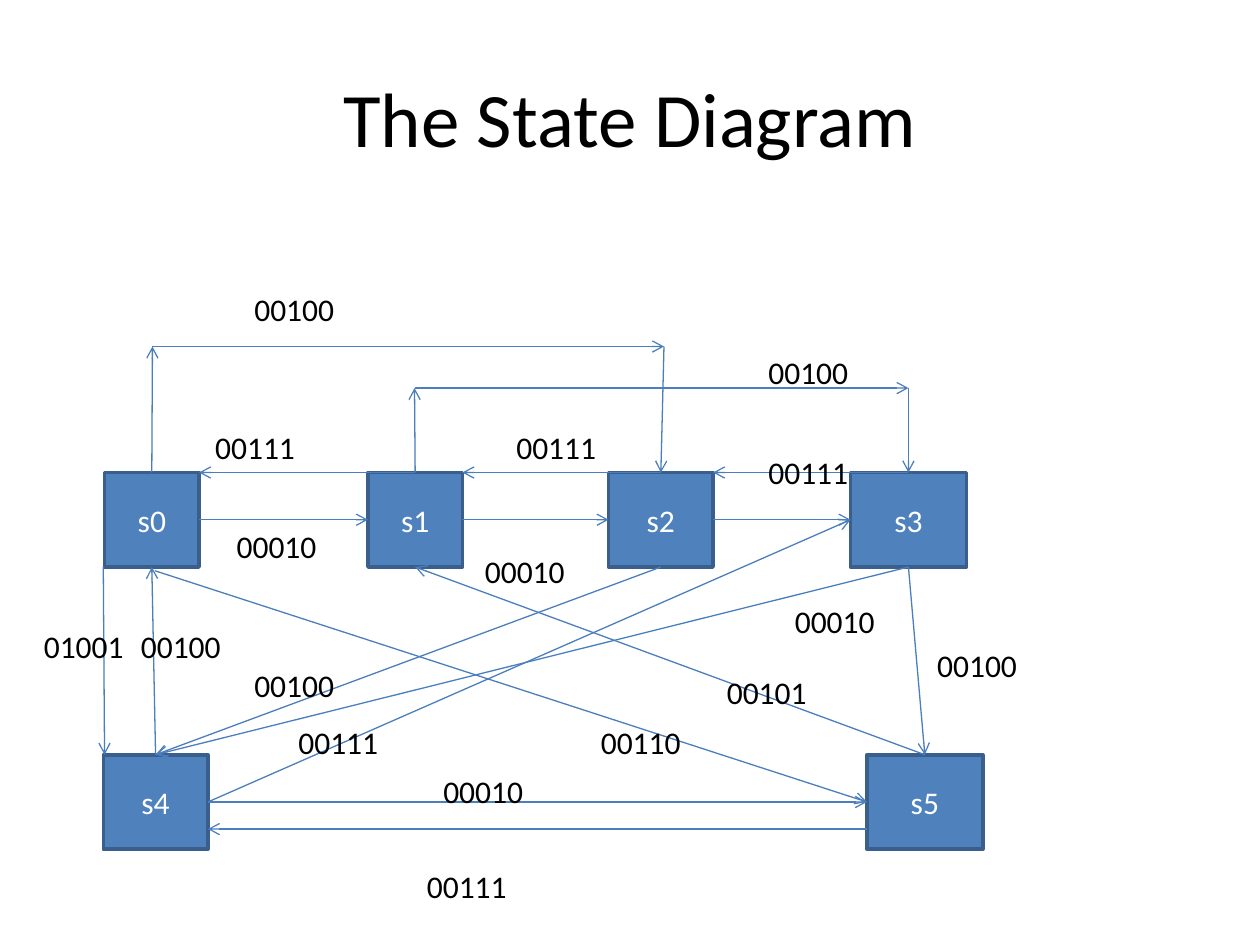
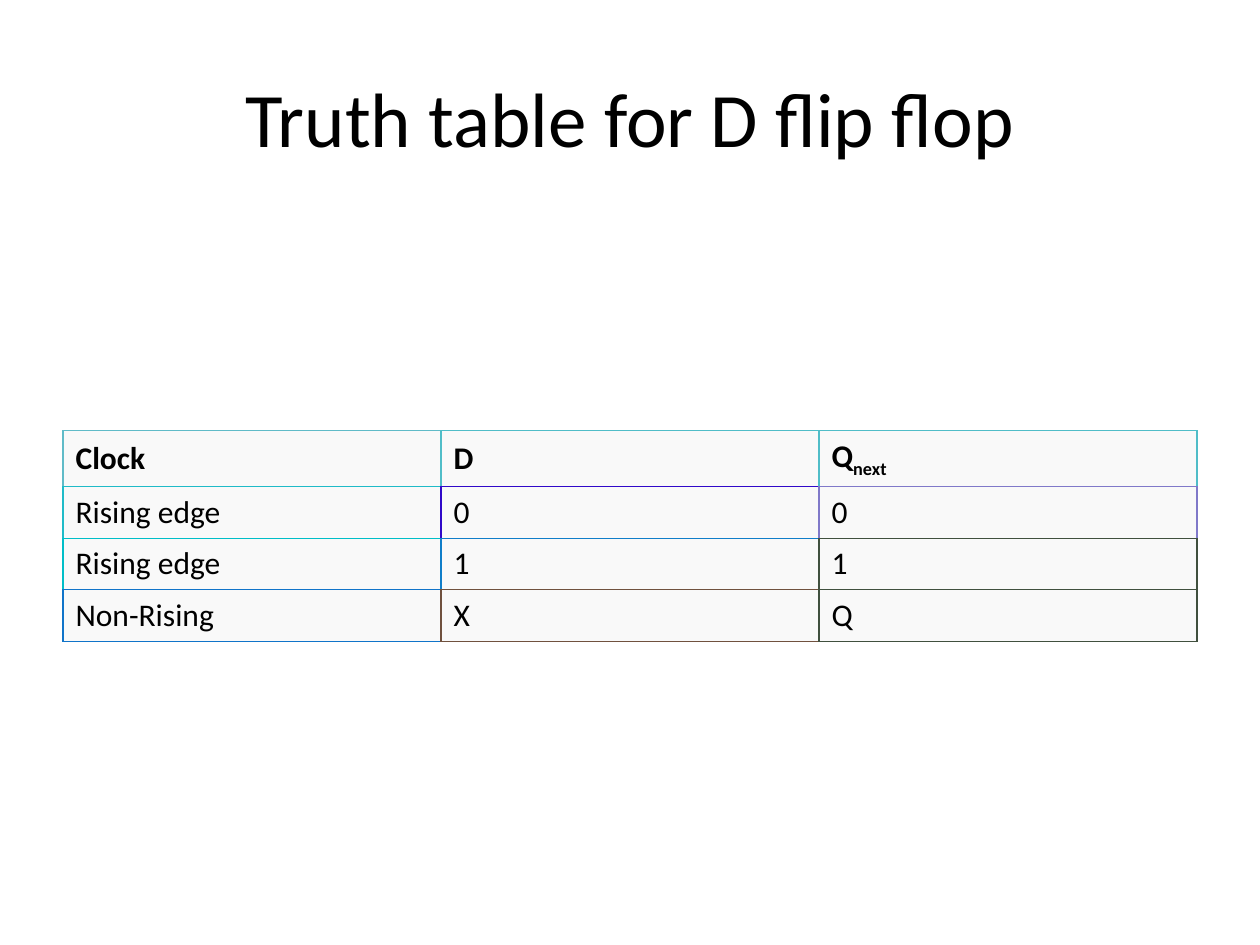
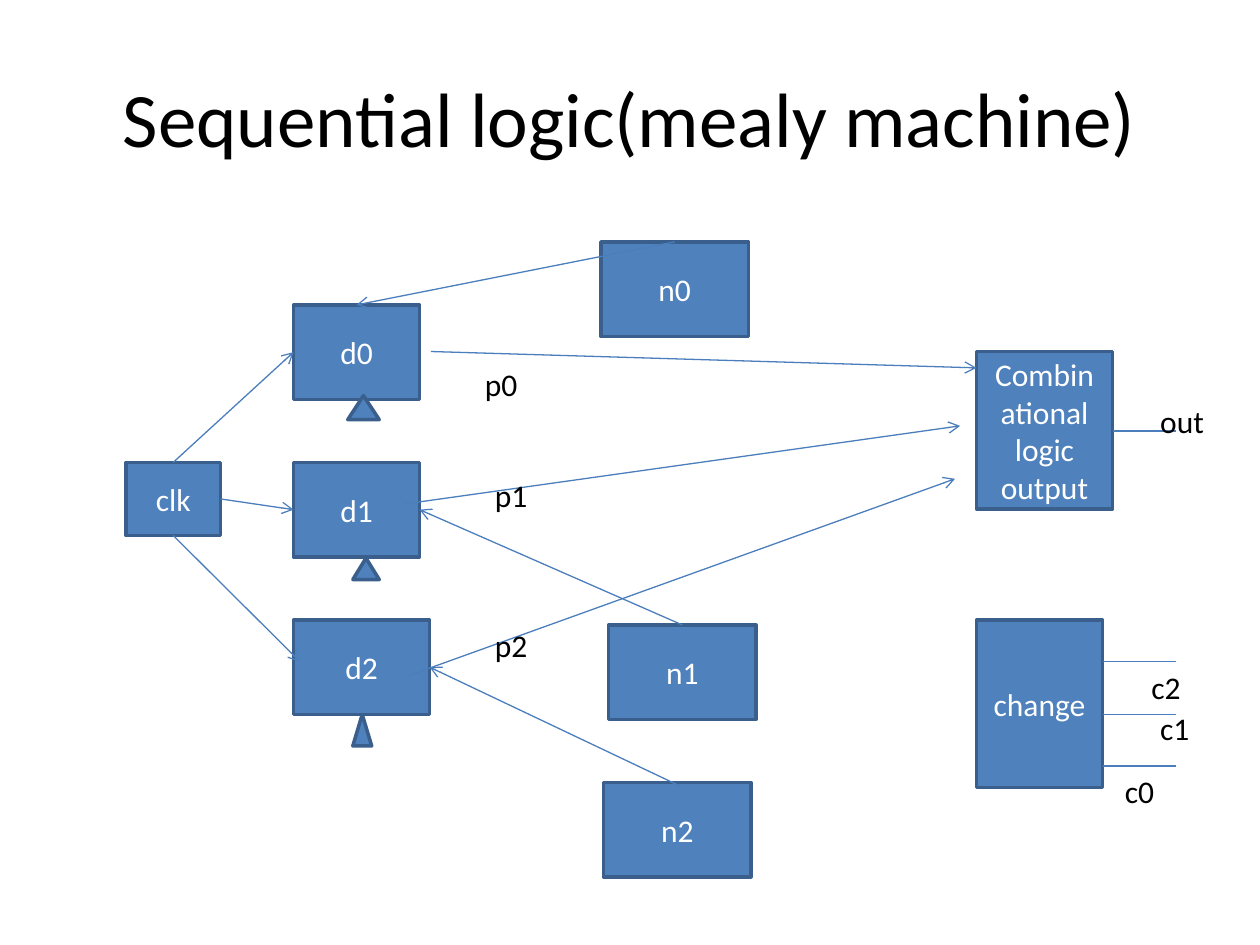
"""Build three slides: a state diagram, a truth table and a Mealy machine."""
from lxml.etree import SubElement
from pptx import Presentation
from pptx.dml.color import RGBColor
from pptx.enum.shapes import MSO_CONNECTOR as Connector, MSO_SHAPE as Shape
from pptx.enum.text import MSO_ANCHOR as Anchor, MSO_AUTO_SIZE as AutoSize, PP_ALIGN as Align
from pptx.oxml.ns import qn
from pptx.util import Inches, Pt

FONT = "Calibri"
BLACK = RGBColor(0x00, 0x00, 0x00)
WHITE = RGBColor(0xFF, 0xFF, 0xFF)
BLUE = RGBColor(0x4F, 0x81, 0xBD)
OUTLINE = RGBColor(0x3A, 0x5F, 0x8C)
WIRE = RGBColor(0x4B, 0x7E, 0xBC)
CELL = RGBColor(0xF9, 0xF9, 0xF9)
LABEL_HEIGHT = 0.4
BOX_HEIGHT = 0.75

SIDES = {"left": (0, 0.5), "right": (1, 0.5), "top": (0.5, 0),
         "bottom": (0.5, 1), "corner": (1, 0)}

STATES = {
    "s0": (0.83, 3.75, 0.75, BOX_HEIGHT),
    "s1": (2.92, 3.75, 0.75, BOX_HEIGHT),
    "s2": (4.83, 3.75, 0.83, BOX_HEIGHT),
    "s3": (6.75, 3.75, 0.92, BOX_HEIGHT),
    "s4": (0.82, 5.99, 0.83, BOX_HEIGHT),
    "s5": (6.88, 5.99, 0.92, BOX_HEIGHT),
}
TRANSITIONS = [
    ("s0 right", "s1 left"), ("s1 right", "s2 left"), ("s2 right", "s3 left"),
    ("s3 bottom", "s4 top"), ("s4 right", "s5 left"), ("s5 top", "s1 bottom"),
    ("s0 top", (1.21, 2.75)), ((1.21, 2.75), (5.27, 2.75)), ((5.27, 2.75), "s2 top"),
    ("s2 bottom", "s4 top"), ("s4 top", "s0 bottom"),
    ("s1 top", (3.29, 3.08)), ((3.29, 3.08), (7.21, 3.08)), ((7.21, 3.08), "s3 top"),
    ("s3 bottom", "s5 top"), ((1.23, 4.53), "s5 left"),
    ("s1 top", "s0 corner"), ("s2 top", "s1 corner"), ("s3 top", "s2 corner"),
    ("s4 right", "s3 left"), ((6.88, 6.58), (1.65, 6.58)), ((0.82, 4.5), (0.83, 5.99)),
]
CODES = [
    ("00111", 1.61, 3.35, 1.14), ("00010", 1.78, 4.13, 0.97),
    ("00111", 4, 3.35, 0.86), ("00010", 3.75, 4.33, 0.92),
    ("00100", 1.92, 2.25, 1.38), ("00100", 6, 2.75, 1.08),
    ("00100", 1.02, 4.93, 1.12), ("00111", 3.29, 6.83, 1.17),
    ("00010", 3.42, 6.08, 1.04), ("00111", 6, 3.55, 1.08),
    ("00100", 7.34, 5.08, 1.24), ("00101", 5.67, 5.29, 1.08),
    ("00110", 4.67, 5.69, 1.08), ("00010", 6.21, 4.73, 0.88),
    ("00100", 1.92, 5.24, 1), ("00111", 2.27, 5.69, 1.4),
    ("01001", 0.25, 4.93, 0.96),
]

TRUTH_ROWS = [
    ("Clock", "D", "Q"),
    ("Rising edge", "0", "0"),
    ("Rising edge", "1", "1"),
    ("Non-Rising", "X", "Q"),
]
EDGE_COLOURS = [
    ("60BBC8", "50BDC8", "50BDC8"),
    ("20BBC8", "3009C9", "8079C9"),
    ("00BEC8", "107EC9", "40503E"),
    ("1074C9", "70513E", "40503E"),
]

BLOCKS = {
    "d0": (2.33, 2.42, 1, BOX_HEIGHT),
    "n0": (4.77, 1.92, 1.17, BOX_HEIGHT),
    "d1": (2.33, 3.67, 1, BOX_HEIGHT),
    "n1": (4.83, 4.96, 1.17, BOX_HEIGHT),
    "d2": (2.33, 4.92, 1.08, BOX_HEIGHT),
    "n2": (4.79, 6.21, 1.17, BOX_HEIGHT),
    "change": (7.75, 4.92, 1, 1.33),
    "Combinational logic\noutput": (7.75, 2.79, 1.08, 1.25),
    "clk": (1, 3.67, 0.75, 0.58),
}
CLOCK_MARKS = [(2.76, 3.14, 0.25, 0.19), (2.8, 4.43, 0.21, 0.17), (2.8, 5.67, 0.15, 0.25)]
SIGNALS = [
    ("clk top", "d0 left"), ("clk right", "d1 left"), ("clk bottom", (2.38, 5.25)),
    ((3.42, 2.79), (7.75, 2.92)), ((3.21, 4), (7.62, 3.38)), ((3.25, 5.36), (7.58, 3.8)),
    ("n0 top", "d0 top"), ("n1 top", "d1 right"), ((5.4, 6.24), "d2 right"),
]
OUTPUT_PINS = [(8.75, 5.25), (8.75, 5.67), (8.75, 6.08), (8.83, 3.42)]
PIN_END = 9.33
SIGNAL_NAMES = [
    ("c0", 8.83, 6.08, 0.5), ("out", 9.11, 3.14, 0.89), ("p0", 3.75, 2.85, 0.83),
    ("p1", 3.83, 3.73, 0.5), ("p2", 3.83, 4.92, 0.5),
]
CHANGE_NAMES = [("c2", 9.04, 5.25, 0.44), ("c1", 9.11, 5.58, 0.44)]


def add_run(paragraph, text, size=18, colour=BLACK, bold=False):
    """Append one formatted run to a paragraph."""
    run = paragraph.add_run()
    run.text = text
    run.font.name, run.font.size, run.font.bold = FONT, Pt(size), bold
    run.font.color.rgb = colour
    return run


def add_titled_slide(deck, title):
    """Add a blank slide with its centred title."""
    slide = deck.slides.add_slide(deck.slide_layouts[6])
    heading = slide.shapes.add_textbox(*map(Inches, (0.5, 0.3, 9, 1.25))).text_frame
    heading.word_wrap = True
    heading.vertical_anchor = Anchor.MIDDLE
    heading.paragraphs[0].alignment = Align.CENTER
    add_run(heading.paragraphs[0], title, 44)
    return slide


def add_solid(slide, preset, bounds):
    """Add a blue preset shape with a dark outline."""
    solid = slide.shapes.add_shape(preset, *map(Inches, bounds))
    solid.shadow.inherit = False
    solid.fill.solid()
    solid.fill.fore_color.rgb = BLUE
    solid.line.color.rgb = OUTLINE
    solid.line.width = Pt(2)
    return solid


def add_boxes(slide, boxes):
    """Add a rectangle for each name, one paragraph per line of the name."""
    for name, bounds in boxes.items():
        frame = add_solid(slide, Shape.RECTANGLE, bounds).text_frame
        frame.word_wrap = True
        frame.vertical_anchor = Anchor.MIDDLE
        for index, text in enumerate(name.split("\n")):
            paragraph = frame.add_paragraph() if index else frame.paragraphs[0]
            paragraph.alignment = Align.CENTER
            add_run(paragraph, text, colour=WHITE)


def locate(end, boxes):
    """Turn a point or a 'box side' phrase into a point."""
    if not isinstance(end, str):
        return end
    name, side = end.split()
    left, top, width, height = boxes[name]
    across, down = SIDES[side]
    return left + across * width, top + down * height


def add_wire(slide, start, finish, arrow=True):
    """Add a thin straight connector, with an arrowhead at its finish."""
    wire = slide.shapes.add_connector(Connector.STRAIGHT, *map(Inches, (*start, *finish)))
    wire.line.color.rgb = WIRE
    wire.line.width = Pt(0.75)
    properties = wire._element.spPr
    if arrow:
        SubElement(properties.find(qn("a:ln")), qn("a:tailEnd"), type="arrow")
    SubElement(properties, qn("a:effectLst"))


def add_arrows(slide, pairs, boxes):
    """Add an arrow for each pair of ends."""
    for start, finish in pairs:
        add_wire(slide, locate(start, boxes), locate(finish, boxes))


def add_labels(slide, labels, wrap=True):
    """Add a small text for each label and place."""
    for text, left, top, width in labels:
        frame = slide.shapes.add_textbox(*map(Inches, (left, top, width, LABEL_HEIGHT))).text_frame
        frame.word_wrap = wrap
        frame.auto_size = AutoSize.SHAPE_TO_FIT_TEXT
        add_run(frame.paragraphs[0], text)


def set_borders(cell, colours):
    """Draw the left, right, top and bottom borders of a cell."""
    properties = cell._tc.get_or_add_tcPr()
    for index, (side, colour) in enumerate(zip("LRTB", colours)):
        edge = SubElement(properties, qn(f"a:ln{side}"), w=str(Pt(0.75)))
        SubElement(SubElement(edge, qn("a:solidFill")), qn("a:srgbClr"), val=colour)
        properties.insert(index, edge)


def add_truth_table(slide):
    """Add the truth table, each cell sharing its edges with its neighbours."""
    table = slide.shapes.add_table(4, 3, *map(Inches, (0.5, 3.42, 9, 1.67))).table
    last_row, last_column = len(TRUTH_ROWS) - 1, len(TRUTH_ROWS[0]) - 1
    for r, texts in enumerate(TRUTH_ROWS):
        table.rows[r].height = Inches(0.41 if r else 0.44)
        for c, text in enumerate(texts):
            cell = table.cell(r, c)
            cell.vertical_anchor = Anchor.MIDDLE
            cell.fill.solid()
            cell.fill.fore_color.rgb = CELL
            own = EDGE_COLOURS[r][c]
            right = EDGE_COLOURS[r][min(c + 1, last_column)]
            below = EDGE_COLOURS[min(r + 1, last_row)][c]
            set_borders(cell, (own, right, own, below))
            add_run(cell.text_frame.paragraphs[0], text, bold=r == 0)
    subscript = add_run(table.cell(0, last_column).text_frame.paragraphs[0], "next", bold=True)
    subscript._r.get_or_add_rPr().set("baseline", "-25000")


def build_state_diagram(deck):
    """Build the slide of states and transitions."""
    slide = add_titled_slide(deck, "The State Diagram")
    add_boxes(slide, STATES)
    add_arrows(slide, TRANSITIONS, STATES)
    add_labels(slide, CODES)


def build_mealy_machine(deck):
    """Build the slide of the sequential logic."""
    slide = add_titled_slide(deck, "Sequential logic(mealy machine)")
    add_boxes(slide, BLOCKS)
    for bounds in CLOCK_MARKS:
        add_solid(slide, Shape.ISOSCELES_TRIANGLE, bounds)
    add_arrows(slide, SIGNALS, BLOCKS)
    for left, height in OUTPUT_PINS:
        add_wire(slide, (left, height), (PIN_END, height), arrow=False)
    add_labels(slide, CHANGE_NAMES, wrap=False)
    add_labels(slide, SIGNAL_NAMES)


def main():
    """Build and save the deck."""
    deck = Presentation()
    deck.slide_width, deck.slide_height = Inches(10), Inches(7.5)
    build_state_diagram(deck)
    add_truth_table(add_titled_slide(deck, "Truth table for D flip flop"))
    build_mealy_machine(deck)
    deck.save("out.pptx")


main()
